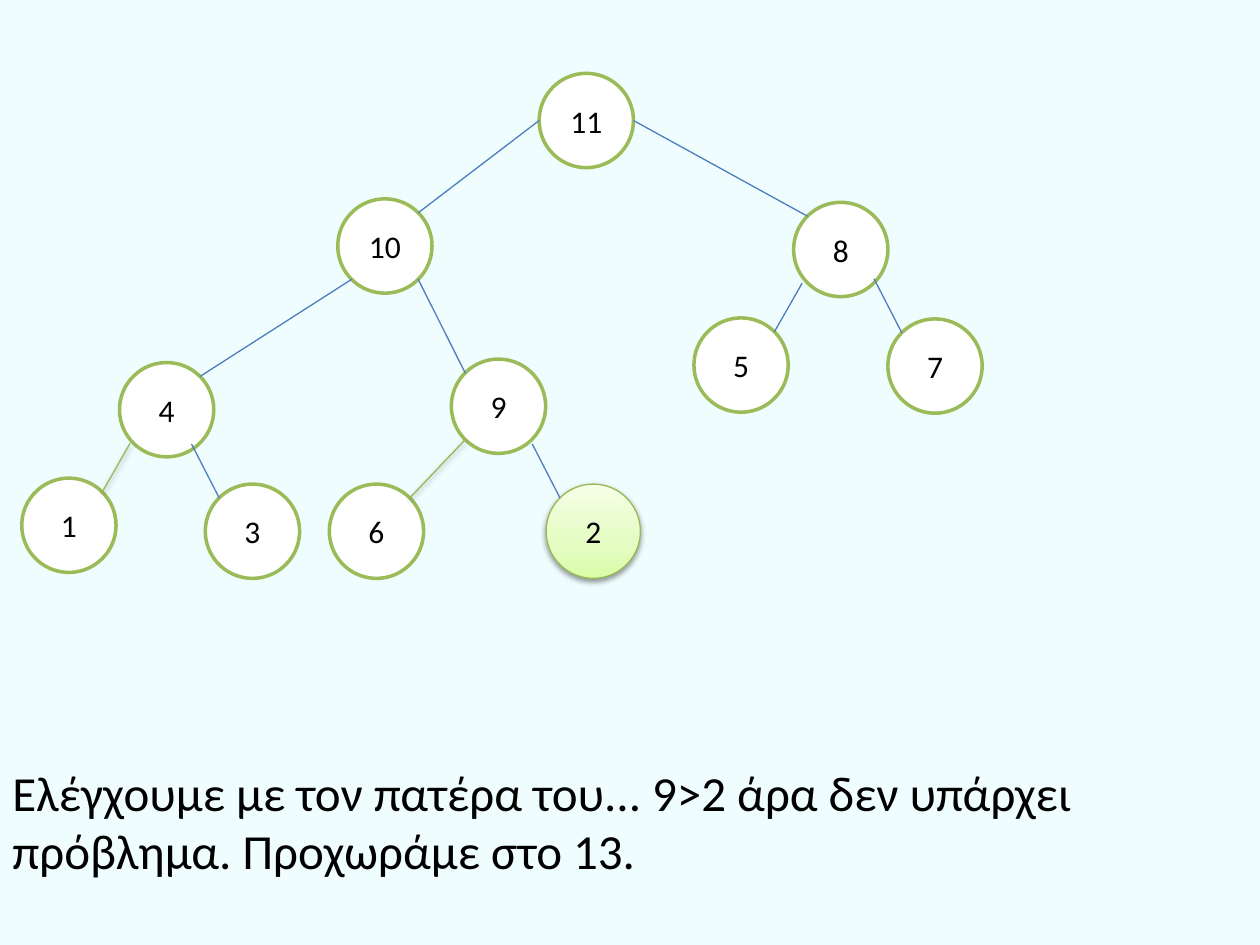
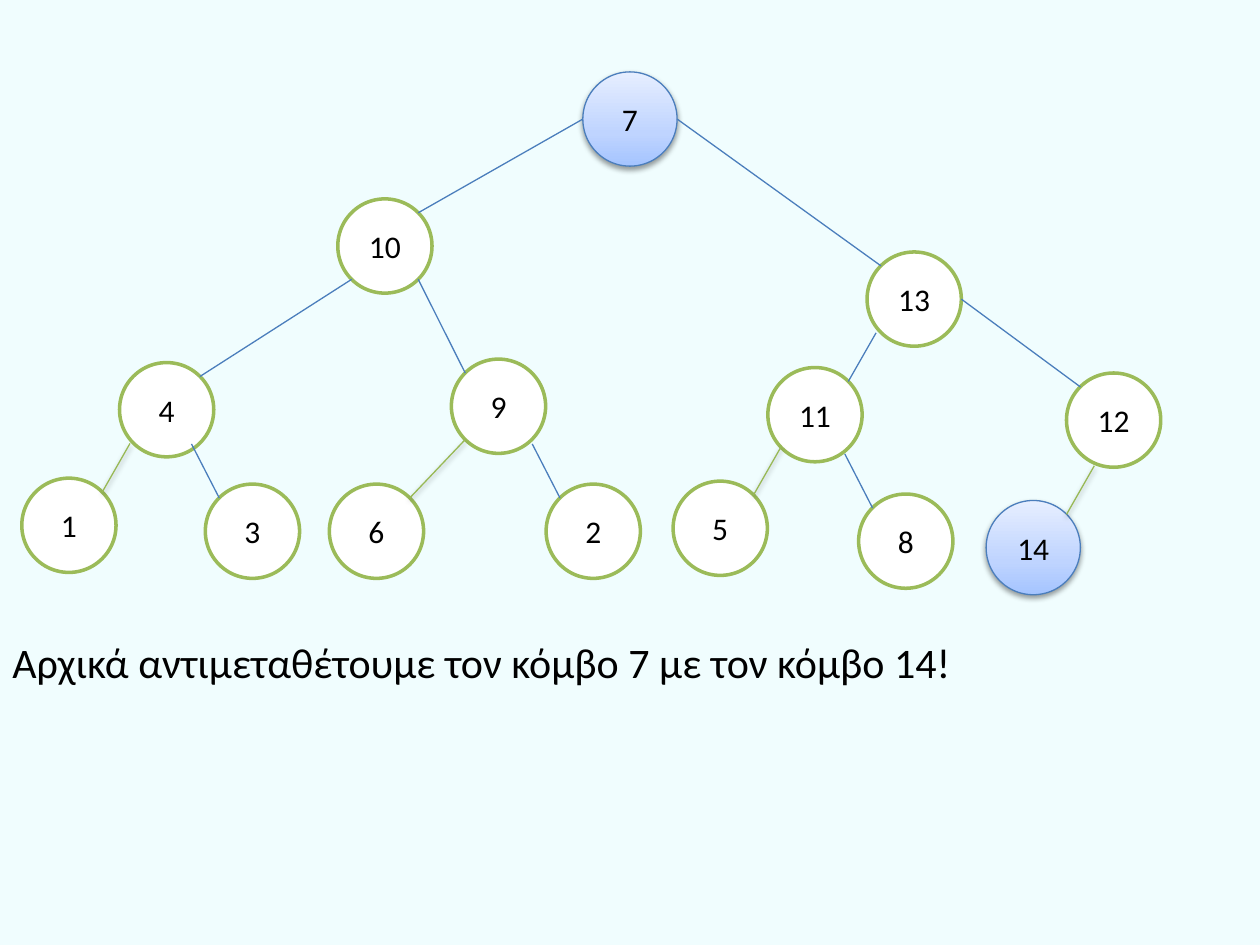
import copy

import pptx
import pptx.dml.color
import pptx.enum.shapes
import pptx.enum.text
import pptx.oxml.ns
import pptx.util
from lxml import etree

Cm = pptx.util.Cm
Pt = pptx.util.Pt
RGBColor = pptx.dml.color.RGBColor
qn = pptx.oxml.ns.qn

PAPER = RGBColor(0xF0, 0xFD, 0xFE)
WHITE = RGBColor(0xFF, 0xFF, 0xFF)
BLACK = RGBColor(0x00, 0x00, 0x00)
RING = RGBColor(0x9B, 0xBB, 0x59)
GREEN = RGBColor(0x98, 0xB9, 0x55)
BLUE = RGBColor(0x4B, 0x7E, 0xBC)
LIME = (GREEN, [RGBColor(0xDA, 0xFD, 0xA7), RGBColor(0xE4, 0xFC, 0xC2),
                RGBColor(0xF5, 0xFF, 0xE7)])
SKY = (BLUE, [RGBColor(0xA4, 0xC4, 0xFF), RGBColor(0xBF, 0xD4, 0xFF),
              RGBColor(0xE6, 0xEE, 0xFF)])

SIZE = 1.9
INSET = 0.28
STUBS = {"left": (0.56, -0.98), "right": (-0.56, -1.09)}


class Deck:
    font = {"name": "Calibri", "size": Pt(18)}

    def __init__(self):
        self.file = pptx.Presentation()
        self.file.slide_width = Cm(25.4)
        self.file.slide_height = Cm(19.05)

    def page(self):
        self.slide = self.file.slides.add_slide(self.file.slide_layouts[6])
        back = self.slide.background.fill
        back.solid()
        back.fore_color.rgb = PAPER
        self.spots = {}

    def label(self, frame, text, **extra):
        frame.text = text
        font = frame.paragraphs[0].runs[0].font
        for key, value in {**self.font, **extra}.items():
            setattr(font, key, value)
        font.color.rgb = BLACK

    def effect(self, shape, soft):
        box = etree.SubElement(shape._element.spPr, qn("a:effectLst"))
        if soft:
            shade = etree.SubElement(box, qn("a:outerShdw"), blurRad="40000",
                                     dist="20000", dir="5400000", rotWithShape="0")
            tint = etree.SubElement(shade, qn("a:srgbClr"), val=str(BLACK))
            etree.SubElement(tint, qn("a:alpha"), val="38000")

    def blend(self, shape, tones):
        shape.fill.gradient()
        shape.fill.gradient_angle = 90
        stops = shape._element.spPr.find(".//" + qn("a:gsLst"))
        stops.insert(1, copy.deepcopy(stops[0]))
        for stop, place, tone in zip(shape.fill.gradient_stops, (0, 0.35, 1), tones):
            stop.position = place
            stop.color.rgb = tone

    def node(self, text, x, y, glow=None):
        self.spots[text] = x, y
        oval = self.slide.shapes.add_shape(
            pptx.enum.shapes.MSO_SHAPE.OVAL, Cm(x), Cm(y), Cm(SIZE), Cm(SIZE))
        if glow:
            self.blend(oval, glow[1])
        else:
            oval.fill.solid()
            oval.fill.fore_color.rgb = WHITE
        oval.line.color.rgb = glow[0] if glow else RING
        oval.line.width = Pt(0.75 if glow else 2)
        self.effect(oval, bool(glow))
        frame = oval.text_frame
        frame.vertical_anchor = pptx.enum.text.MSO_ANCHOR.MIDDLE
        self.label(frame, text)
        frame.paragraphs[0].alignment = pptx.enum.text.PP_ALIGN.CENTER

    def edge(self, above, below, side, start, color):
        px, py = self.spots[above]
        x, y = self.spots[below]
        left = side == "left"
        far = SIZE - INSET
        end = x + (far if left else INSET), y + INSET
        if start == "side":
            begin = px + (0 if left else SIZE), py + SIZE / 2
        elif start == "corner":
            begin = px + (INSET if left else far), py + far
        else:
            begin = [a + b for a, b in zip(end, STUBS[side])]
        line = self.slide.shapes.add_connector(
            pptx.enum.shapes.MSO_CONNECTOR.STRAIGHT, *map(Cm, (*begin, *end)))
        line.line.color.rgb = color
        line.line.width = Pt(0.75)
        self.effect(line, color == GREEN)

    def tree(self, root, rows, glows):
        self.node(*root, glows.get(root[0]))
        for text, x, y, above, side, start, color in rows:
            self.node(text, x, y, glows.get(text))
            self.edge(above or root[0], text, side, start, color)

    def note(self, text, y, height, size):
        box = self.slide.shapes.add_textbox(0, Cm(y), Cm(25.4), Cm(height))
        frame = box.text_frame
        frame.word_wrap = True
        frame.auto_size = pptx.enum.text.MSO_AUTO_SIZE.SHAPE_TO_FIT_TEXT
        self.label(frame, text, size=Pt(size))


TOP = [("10", 6.81, 4.01, None, "left", "side", BLUE)]
MID = [
    ("4", 2.41, 7.31, "10", "left", "corner", BLUE),
    ("9", 9.1, 7.24, "10", "right", "corner", BLUE),
]
LOW = [
    ("1", 0.44, 9.64, "4", "left", "stub", GREEN),
    ("3", 4.14, 9.76, "4", "right", "stub", BLUE),
    ("6", 6.64, 9.76, "9", "left", "corner", GREEN),
    ("2", 11.01, 9.76, "9", "right", "stub", BLUE),
]

deck = Deck()

deck.page()
deck.tree(("11", 10.87, 1.48), [
    *TOP,
    ("8", 16, 4.08, None, "right", "side", BLUE),
    *MID,
    ("5", 13.99, 6.41, "8", "left", "stub", BLUE),
    ("7", 17.9, 6.43, "8", "right", "stub", BLUE),
    *LOW,
], {"2": LIME})
deck.note("Ελέγχουμε με τον πατέρα του... 9>2 άρα δεν υπάρχει πρόβλημα. "
          "Προχωράμε στο 13.", 15.24, 2.64, 28)

deck.page()
deck.tree(("7", 11.75, 1.45), [
    *TOP,
    ("13", 17.48, 5.08, None, "right", "side", BLUE),
    *MID,
    ("11", 15.48, 7.41, "13", "left", "stub", BLUE),
    ("12", 21.5, 7.52, "13", "right", "side", BLUE),
    *LOW,
    ("5", 13.57, 9.7, "11", "left", "stub", GREEN),
    ("8", 17.31, 9.96, "11", "right", "stub", BLUE),
    ("14", 19.88, 10.09, "12", "left", "stub", GREEN),
], {"7": SKY, "14": SKY})
deck.note("Αρχικά αντιμεταθέτουμε τον κόμβο 7 με τον κόμβο 14!", 12.7, 2.31, 24)

deck.file.save("out.pptx")
